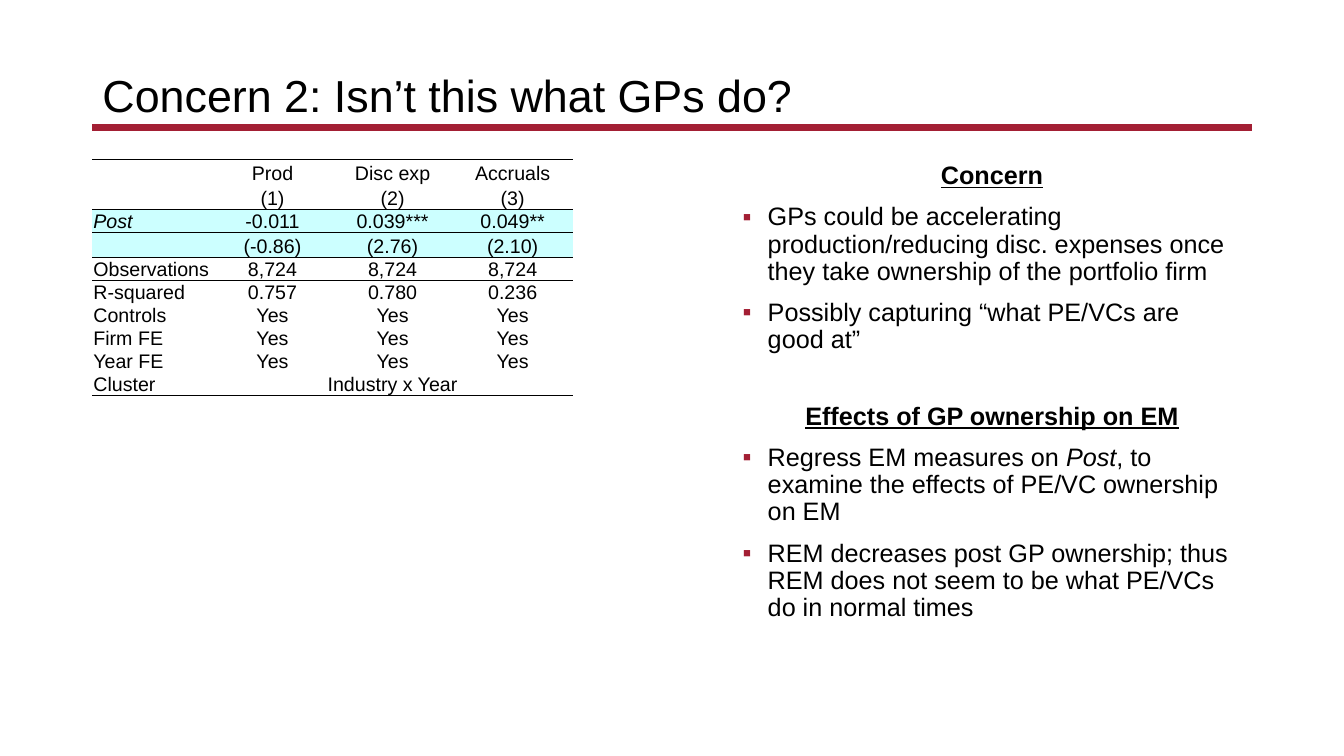
from dataclasses import dataclass

from lxml.etree import SubElement
from pptx import Presentation
from pptx.dml.color import RGBColor as RGB
from pptx.enum.shapes import MSO_CONNECTOR as Connector
from pptx.enum.text import MSO_ANCHOR as Anchor, MSO_AUTO_SIZE as AutoSize, PP_ALIGN as Align
from pptx.oxml.ns import qn
from pptx.util import Inches, Pt


@dataclass(frozen=True)
class Theme:
    font: str = "Arial"
    ink: str = "000000"
    accent: str = "A31F34"
    highlight: str = "CCFFFF"
    title: int = 32
    body: int = 18
    table: int = 14


@dataclass(frozen=True)
class Box:
    """Left, top, width and height in grid units."""
    x: float
    y: float
    w: float
    h: float


THEME = Theme()
COLS, ROWS = 160, 90
UNIT = Inches(7.5) / ROWS
NO_GRID_STYLE = "{2D5ABB26-0587-4C30-8999-92F81FD0307C}"

TITLE_BOX = Box(11, 4.8, 138, 10.4)
TABLE_BOX = Box(11, 19, 57.2, 22)
NOTES_BOX = Box(87.2, 18.8, 61.8, 58.7)

RESULTS = [
    ["", "Prod", "Disc exp", "Accruals"],
    ["", "(1)", "(2)", "(3)"],
    ["Post", "-0.011", "0.039***", "0.049**"],
    ["", "(-0.86)", "(2.76)", "(2.10)"],
    ["Observations", "8,724", "8,724", "8,724"],
    ["R-squared", "0.757", "0.780", "0.236"],
    ["Controls", "Yes", "Yes", "Yes"],
    ["Firm FE", "Yes", "Yes", "Yes"],
    ["Year FE", "Yes", "Yes", "Yes"],
    ["Cluster", "Industry x Year", "", ""],
]
HIGHLIGHT_ROWS = (2, 3)
RULE_WIDTHS = {0: 1, 2: 1, 4: 0.5, 10: 1}  # points, keyed by the row below the rule

NOTES = [
    ("Concern", [
        ["GPs could be accelerating production/reducing disc. expenses once "
         "they take ownership of the portfolio firm"],
        ["Possibly capturing “what PE/VCs are good at”"],
    ]),
    ("Effects of GP ownership on EM", [
        ["Regress EM measures on ", "Post", ", to examine the effects of PE/VC ownership on EM"],
        ["REM decreases post GP ownership; thus REM does not seem to be what "
         "PE/VCs do in normal times"],
    ]),
]


def grid(*units):
    return [round(u * UNIT) for u in units]


def place(sp, box):
    sp.left, sp.top, sp.width, sp.height = grid(box.x, box.y, box.w, box.h)


def add_run(p, text, size, bold=None, underline=None):
    r = p.add_run()
    r.text = text
    font = r.font
    font.name, font.size = THEME.font, Pt(size)
    font.color.rgb = RGB.from_string(THEME.ink)
    font.bold, font.underline = bold, underline
    font.italic = text == "Post"


def add_title(slide, box, text):
    sp = slide.shapes.title
    place(sp, box)
    tf = sp.text_frame
    tf.auto_size, tf.vertical_anchor = AutoSize.NONE, Anchor.BOTTOM
    p = tf.paragraphs[0]
    p.alignment, p.line_spacing = Align.LEFT, 0.9
    add_run(p, text, THEME.title)

    bottom = box.y + box.h
    rule = slide.shapes.add_connector(
        Connector.STRAIGHT, *grid(box.x, bottom, box.x + box.w, bottom))
    rule.line.color.rgb = RGB.from_string(THEME.accent)
    rule.line.width = Pt(5)
    SubElement(rule._element.spPr, qn("a:effectLst"))


def add_border(cell, side, points):
    ln = SubElement(cell._tc.get_or_add_tcPr(), qn(f"a:{side}"), w=str(Pt(points)))
    SubElement(SubElement(ln, qn("a:solidFill")), qn("a:srgbClr"), val=THEME.ink)


def format_cell(cell, row, col, text):
    cell.margin_left = cell.margin_right = cell.margin_top = Inches(0.01)
    cell.margin_bottom = 0
    cell.vertical_anchor = Anchor.BOTTOM
    for side, edge in (("lnT", row), ("lnB", row + 1)):
        if edge in RULE_WIDTHS:
            add_border(cell, side, RULE_WIDTHS[edge])
    if row in HIGHLIGHT_ROWS:
        cell.fill.solid()
        cell.fill.fore_color.rgb = RGB.from_string(THEME.highlight)
    else:
        cell.fill.background()
    p = cell.text_frame.paragraphs[0]
    p.alignment = Align.CENTER if col else Align.LEFT
    if text:
        add_run(p, text, THEME.table)
    else:  # keeps an empty cell from stretching its row
        p._p.get_or_add_endParaRPr().set("sz", str(THEME.table * 100))


def add_results(slide, box):
    n_rows, n_cols = len(RESULTS), len(RESULTS[0])
    table = slide.shapes.add_table(
        n_rows, n_cols, *grid(box.x, box.y, box.w, box.h)).table
    table.first_row = table.horz_banding = False
    table._tbl.tblPr.find(qn("a:tableStyleId")).text = NO_GRID_STYLE
    for column in table.columns:
        column.width = grid(box.w / n_cols)[0]
    for i, values in enumerate(RESULTS):
        table.rows[i].height = grid(box.h / n_rows)[0]
        for j, text in enumerate(values):
            format_cell(table.cell(i, j), i, j, text)
    table.cell(n_rows - 1, 1).merge(table.cell(n_rows - 1, n_cols - 1))


def set_bullet(p, char=None):
    """Give a paragraph a hanging accent bullet, or none."""
    indent = Inches(0.25) if char else 0
    pPr = p._p.get_or_add_pPr()
    pPr.set("marL", str(indent))
    pPr.set("indent", str(-indent))
    if char:
        SubElement(SubElement(pPr, qn("a:buClr")), qn("a:srgbClr"), val=THEME.accent)
        SubElement(pPr, qn("a:buFont"), typeface=THEME.font)
        SubElement(pPr, qn("a:buChar"), char=char)
    else:
        SubElement(pPr, qn("a:buNone"))


def add_notes(slide, box):
    sp = slide.placeholders[1]
    place(sp, box)
    tf = sp.text_frame
    tf.auto_size, tf.vertical_anchor = AutoSize.NONE, Anchor.TOP
    for k, (heading, bullets) in enumerate(NOTES):
        p = tf.add_paragraph() if k else tf.paragraphs[0]
        p.alignment, p.line_spacing = Align.CENTER, 0.9
        p.space_before = Pt(35 if k else 10)
        set_bullet(p)
        add_run(p, heading, THEME.body, bold=True, underline=True)
        for runs in bullets:
            p = tf.add_paragraph()
            p.alignment, p.line_spacing, p.space_before = Align.LEFT, 0.9, Pt(10)
            set_bullet(p, "▪")
            for text in runs:
                add_run(p, text, THEME.body)


def main():
    prs = Presentation()
    prs.slide_width, prs.slide_height = grid(COLS, ROWS)
    slide = prs.slides.add_slide(prs.slide_layouts[1])
    add_title(slide, TITLE_BOX, "Concern 2: Isn’t this what GPs do?")
    add_results(slide, TABLE_BOX)
    add_notes(slide, NOTES_BOX)
    prs.save("out.pptx")


if __name__ == "__main__":
    main()
